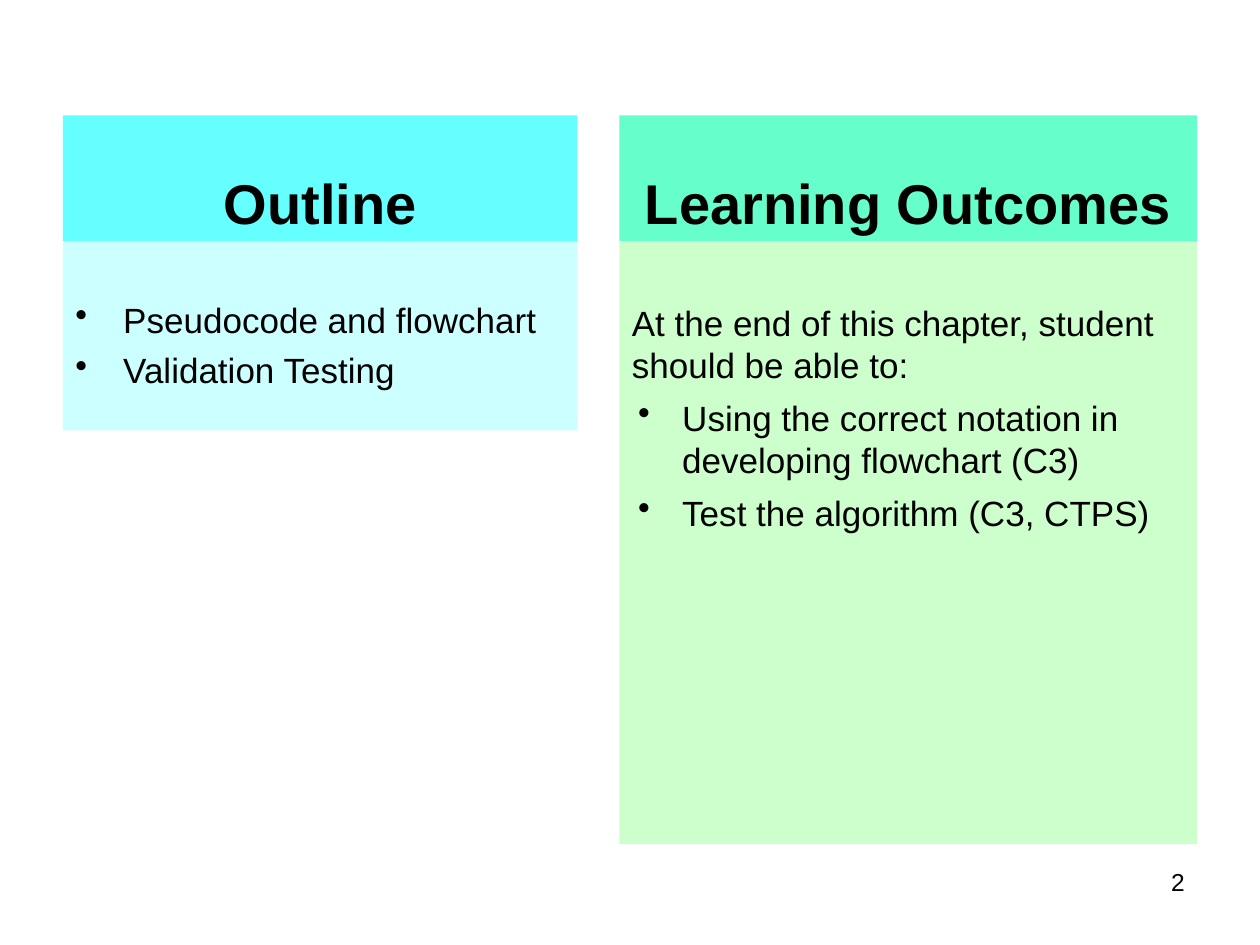
from lxml import etree
from pptx import Presentation
from pptx.dml.color import RGBColor
from pptx.enum.shapes import MSO_SHAPE
from pptx.enum.text import MSO_ANCHOR, PP_ALIGN
from pptx.oxml.ns import qn
from pptx.util import Inches, Pt

RECTANGLE = MSO_SHAPE.RECTANGLE
TOP, BOTTOM = MSO_ANCHOR.TOP, MSO_ANCHOR.BOTTOM
LEFT, CENTER, RIGHT = PP_ALIGN.LEFT, PP_ALIGN.CENTER, PP_ALIGN.RIGHT

COLORS = {
    "text": "000000",
    "outline head": "66FFFF",
    "outline body": "CCFFFF",
    "outcomes head": "66FFCC",
    "outcomes body": "CCFFCC",
}
CELL = 1 / 12  # grid cell in inches: 120 columns by 90 rows
HEAD_ROW, HEAD_ROWS = 11, 12


class SlideBuilder:
    font_name = "Arial"

    def __init__(self, presentation):
        self.slide = presentation.slides.add_slide(presentation.slide_layouts[6])

    def grid(self, *cells):
        return [Inches(cell * CELL) for cell in cells]

    def style(self, paragraph, size, align=LEFT, bold=False):
        paragraph.alignment = align
        paragraph.font.name = self.font_name
        paragraph.font.size = Pt(size)
        paragraph.font.bold = bold
        paragraph.font.color.rgb = RGBColor.from_string(COLORS["text"])

    def bullet(self, paragraph, margin, hanging):
        properties = paragraph._p.get_or_add_pPr()
        properties.set("marL", str(Inches(margin)))
        properties.set("indent", str(-Inches(hanging)))
        mark = etree.Element(qn("a:buChar"), char="•")
        default_run = properties.find(qn("a:defRPr"))
        default_run.addprevious(mark)

    def panel(self, column, row, columns, rows, color, anchor):
        shape = self.slide.shapes.add_shape(
            RECTANGLE, *self.grid(column, row, columns, rows))
        shape.shadow.inherit = False
        shape.fill.solid()
        shape.fill.fore_color.rgb = RGBColor.from_string(COLORS[color])
        shape.line.fill.background()
        shape.text_frame.word_wrap = True
        shape.text_frame.vertical_anchor = anchor
        return shape.text_frame

    def heading(self, column, columns, color, text):
        frame = self.panel(column, HEAD_ROW, columns, HEAD_ROWS, color, BOTTOM)
        frame.text = text
        self.style(frame.paragraphs[0], 32, CENTER, bold=True)

    def body(self, column, columns, rows, color, lines, indent, gap, top):
        """Each line is a (text, bulleted) pair."""
        frame = self.panel(column, HEAD_ROW + HEAD_ROWS, columns, rows, color, TOP)
        frame.margin_top = Inches(top)
        frame.text = "\n".join(text for text, _ in lines)
        for index, (paragraph, (_, bulleted)) in enumerate(zip(frame.paragraphs, lines)):
            self.style(paragraph, 20)
            paragraph.space_before = Pt(gap if index else 0)
            if bulleted:
                self.bullet(paragraph, *indent)

    def page_number(self, column, row, columns, rows, number):
        frame = self.slide.shapes.add_textbox(
            *self.grid(column, row, columns, rows)).text_frame
        frame.word_wrap = True
        frame.text = str(number)
        self.style(frame.paragraphs[0], 14, RIGHT)


def main():
    presentation = Presentation()
    presentation.slide_width, presentation.slide_height = Inches(10), Inches(7.5)
    builder = SlideBuilder(presentation)

    # Left column: outline
    builder.heading(6, 49, "outline head", "Outline")
    builder.body(6, 49, 18, "outline body", [
        ("Pseudocode and flowchart", True),
        ("Validation Testing", True),
    ], indent=(0.38, 0.38), gap=5, top=0.45)

    # Right column: learning outcomes
    builder.heading(59, 55, "outcomes head", "Learning Outcomes")
    builder.body(59, 55, 57.4, "outcomes body", [
        ("At the end of this chapter, student should be able to:", False),
        ("Using the correct notation in developing flowchart (C3)", True),
        ("Test the algorithm (C3, CTPS)", True),
    ], indent=(0.4, 0.35), gap=6, top=0.48)

    # Footer
    builder.page_number(86, 82, 28, 6.25, 2)
    presentation.save("out.pptx")


if __name__ == "__main__":
    main()
